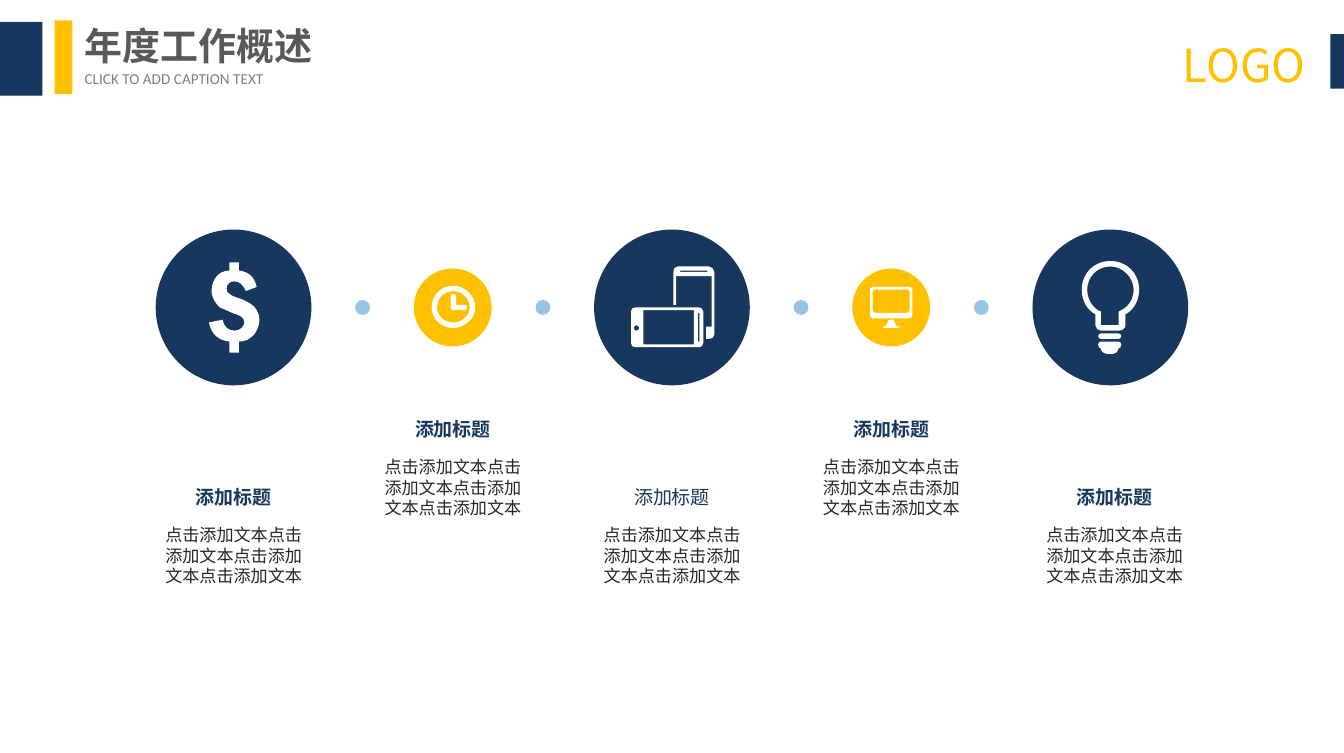
from lxml import etree
from pptx import Presentation
from pptx.dml.color import RGBColor
from pptx.enum.shapes import MSO_SHAPE
from pptx.enum.text import MSO_ANCHOR, MSO_AUTO_SIZE, PP_ALIGN
from pptx.oxml.ns import qn
from pptx.util import Inches, Pt

OVAL, RECT = MSO_SHAPE.OVAL, MSO_SHAPE.RECTANGLE
TOP, MIDDLE = MSO_ANCHOR.TOP, MSO_ANCHOR.MIDDLE
LEFT, CENTER = PP_ALIGN.LEFT, PP_ALIGN.CENTER
FIXED = MSO_AUTO_SIZE.NONE

NAVY = RGBColor(0x17, 0x37, 0x5E)
GOLD = RGBColor(0xFF, 0xC0, 0x00)
BLUE = RGBColor(0x00, 0x70, 0xC0)
WHITE = RGBColor(0xFF, 0xFF, 0xFF)
INK = RGBColor(0x26, 0x26, 0x26)
GRAY = RGBColor(0x59, 0x59, 0x59)
PALE = RGBColor(0x80, 0x80, 0x80)
SANS = "Noto Sans CJK SC"
LATIN = "Calibri"

# Icon outlines in hundredths of an inch: two numbers draw a line, six a curve.
DOLLAR = [
    "35 35; 36 37 37 39 37 42; 37 47 35 50 33 53; 30 56 27 58 22 58; 22 66; 15 66; 15 58;"
    "7 57 2 53 0 44; 10 42; 11 47 14 50 19 50; 21 50 23 49 24 48; 25 47 26 45 26 44;"
    "26 42 25 41 24 40; 23 39 20 38 17 37; 13 35 10 34 8 33; 7 32 5 30 4 28;"
    "3 26 2 24 2 21; 2 17 3 14 5 11; 7 8 11 6 15 6; 15 0; 22 0; 22 6; 29 7 33 10 35 18;"
    "27 21; 25 16 22 14 19 14; 17 14 16 14 15 15; 13 16 13 18 13 19; 13 21 13 22 15 23;"
    "16 24 18 25 21 26; 25 27 28 29 30 30; 32 31 34 33 35 35",
]
CLOCK = [
    "16 0; 7 0 0 7 0 16; 0 24 7 31 16 31; 24 31 32 24 32 16; 32 7 24 0 16 0",
    "16 27; 9 27 4 22 4 16; 4 9 9 4 16 4; 22 4 28 9 28 16; 28 22 22 27 16 27",
    "26 16; 26 17 25 18 24 18; 16 18; 15 18 14 17 14 16; 14 8; 14 7 15 6 16 6;"
    "17 6 18 7 18 8; 18 14; 24 14; 25 14 26 15 26 16",
]
PHONES = [
    "61 4; 61 2 59 0 57 0; 34 0; 32 0 31 2 31 4; 31 28; 33 28; 33 7; 59 7; 59 44;"
    "55 44; 55 53; 57 53; 59 53 61 52 61 50",
    "36 3; 56 3; 56 4; 36 4",
    "53 56; 53 58 51 59 50 59; 3 59; 1 59 0 58 0 56; 0 33; 0 31 1 30 3 30; 50 30;"
    "51 30 53 31 53 33",
    "49 34; 50 34; 50 55; 49 55",
    "2 45; 2 46 3 47 4 47; 5 47 6 46 6 45; 6 44 5 43 4 43; 3 43 2 44 2 45",
    "9 32; 46 32; 46 57; 9 57",
]
SCREEN = [
    "29 0; 2 0; 1 0 0 1 0 2; 0 21; 0 22 1 23 2 23; 29 23; 30 23 31 22 31 21; 31 2;"
    "31 1 30 0 29 0",
    "29 17; 29 18 28 19 27 19; 4 19; 3 19 2 18 2 17; 2 3; 2 2 3 2 4 2; 27 2;"
    "28 2 29 2 29 3",
    "17 24; 18 24 18 25 18 25; 18 26; 18 27 19 27 19 28; 21 29; 22 30 22 30 21 30;"
    "10 30; 9 30 9 30 10 29; 12 28; 12 27 13 27 13 26; 13 25; 13 25 13 24 14 24",
]
BULB = [
    "29 55; 29 56 28 57 27 57; 14 57; 13 57 12 56 12 55; 12 54 13 53 14 53; 27 53;"
    "28 53 29 54 29 55",
    "27 59; 14 59; 13 59 12 60 12 61; 12 63 13 64 14 64; 14 66 16 68 19 68; 23 68;"
    "25 68 27 66 27 64; 28 64 29 63 29 61; 29 60 28 59 27 59",
    "21 4; 30 4 38 12 38 21; 38 27 35 33 29 36; 27 37; 27 47; 14 47; 14 37; 12 36;"
    "7 33 4 27 4 21; 4 12 11 4 21 4",
    "21 0; 9 0 0 9 0 21; 0 29 4 36 10 39; 10 47; 10 49 12 51 14 51; 27 51;"
    "30 51 32 49 32 47; 32 39; 38 36 42 29 42 21; 42 9 33 0 21 0",
]

HEAD = "添加标题"
BODY = "点击添加文本" * 4
FIRST, STEP, AXIS = 1.71, 3.21 / 2, 2.25
BIG, SMALL, DOT, GAP = 1.14, 0.57, 0.11, 0.66
WIDE = 1.32
# Icon, its left and top, bold heading, sideways shift of the text
STAGES = [
    (DOLLAR, 1.53, 1.92, True, 0),
    (CLOCK, 3.16, 2.09, True, 0),
    (PHONES, 4.62, 1.95, False, 0),
    (SCREEN, 6.37, 2.10, True, 0),
    (BULB, 7.92, 1.91, True, 0.03),
]


def trace(line, x, y):
    """Turn an outline into steps, each a list of one or three points."""
    steps = []
    for part in line.split(";"):
        nums = [int(n) / 100 for n in part.split()]
        steps.append([(Inches(x + a), Inches(y + b))
                      for a, b in zip(nums[0::2], nums[1::2])])
    return steps


def bend(shape, steps):
    """Make curves of the lines whose steps have control points."""
    for line, step in zip(list(shape._element.iter(qn("a:lnTo"))), steps):
        if len(step) == 1:
            continue
        line.tag = qn("a:cubicBezTo")
        for i, (x, y) in enumerate(step[:2]):
            point = etree.Element(qn("a:pt"), x=str(x - shape.left), y=str(y - shape.top))
            line.insert(i, point)


def write(frame, text, size=9, color=INK, font=SANS, bold=False, align=LEFT,
          anchor=TOP, inset=(0, 0), space=1.0, wrap=True):
    frame.word_wrap = wrap
    frame.auto_size = FIXED
    frame.vertical_anchor = anchor
    frame.margin_left = frame.margin_right = Inches(inset[0])
    frame.margin_top = frame.margin_bottom = Inches(inset[1])
    para = frame.paragraphs[0]
    para.alignment = align
    para.line_spacing = space
    run = para.add_run()
    run.text = text
    run.font.size = Pt(size)
    run.font.bold = bold
    run.font.name = font
    run.font.color.rgb = color
    east = etree.SubElement(run.font._element, qn("a:ea"))
    east.set("typeface", SANS)


class Page:
    def __init__(self, deck):
        self.slide = deck.slides.add_slide(deck.slide_layouts[5])
        self.shapes = self.slide.shapes

    def paint(self, shape, color, alpha=None):
        shape.shadow.inherit = False
        shape.fill.solid()
        shape.fill.fore_color.rgb = color
        shape.line.fill.background()
        if alpha:
            tint = shape._element.spPr.find(".//" + qn("a:srgbClr"))
            etree.SubElement(tint, qn("a:alpha")).set("val", str(alpha * 1000))

    def block(self, kind, x, y, w, h, color, alpha=None):
        shape = self.shapes.add_shape(kind, Inches(x), Inches(y), Inches(w), Inches(h))
        self.paint(shape, color, alpha)

    def disc(self, x, size, color, alpha=None):
        """Draw a circle centred at x on the axis."""
        self.block(OVAL, x - size / 2, AXIS - size / 2, size, size, color, alpha)

    def icon(self, lines, x, y):
        pen, steps = None, []
        for line in lines:
            (start,), *rest = trace(line, x, y)
            if pen is None:
                pen = self.shapes.build_freeform(*start)
            else:
                pen.move_to(*start)
            pen.add_line_segments([step[-1] for step in rest], close=True)
            steps += rest
        shape = pen.convert_to_shape()
        bend(shape, steps)
        self.paint(shape, WHITE)

    def text(self, text, x, y, w, h, **style):
        box = self.shapes.add_textbox(Inches(x), Inches(y), Inches(w), Inches(h))
        write(box.text_frame, text, **style)

    def title(self, text, x, y, w, h, **style):
        box = self.shapes.title
        box.left, box.top, box.width, box.height = map(Inches, (x, y, w, h))
        write(box.text_frame, text, **style)


def main():
    deck = Presentation()
    deck.slide_width, deck.slide_height = Inches(9.84), Inches(5.51)
    page = Page(deck)

    for i, (icon, x, y, bold, shift) in enumerate(STAGES):
        mid = FIRST + i * STEP
        minor = i % 2
        page.disc(mid, SMALL if minor else BIG, GOLD if minor else NAVY)
        if minor:
            for side in (-GAP, GAP):
                page.disc(mid + side, DOT, BLUE, alpha=40)
        page.icon(icon, x, y)
        left = mid - WIDE / 2 + shift
        top = 2.92 if minor else 3.42
        page.text(HEAD, left, top, WIDE, 0.35, size=10, color=NAVY, bold=bold,
                  align=CENTER, anchor=MIDDLE, inset=(0.1, 0.05), space=1.5)
        page.text(BODY, left, top + 0.37, WIDE, 0.55, align=CENTER, inset=(0.1, 0.05))

    page.block(RECT, -0.01, 0.16, 0.32, 0.54, NAVY)
    page.block(RECT, 0.4, 0.15, 0.13, 0.54, GOLD)
    page.block(RECT, 9.74, 0.25, 0.15, 0.4, NAVY)
    page.text("LOGO", 8.59, 0.23, 1.29, 0.48, size=24, color=GOLD,
              inset=(0.07, 0.04), wrap=False)
    page.title("年度工作概述", 0.62, 0.16, 1.77, 0.34, size=20, color=GRAY,
               font=LATIN, bold=True, anchor=MIDDLE)
    page.text("CLICK TO ADD CAPTION TEXT", 0.62, 0.51, 1.77, 0.13, size=8,
              color=PALE, font=LATIN, anchor=MIDDLE)
    deck.save("out.pptx")


if __name__ == "__main__":
    main()
